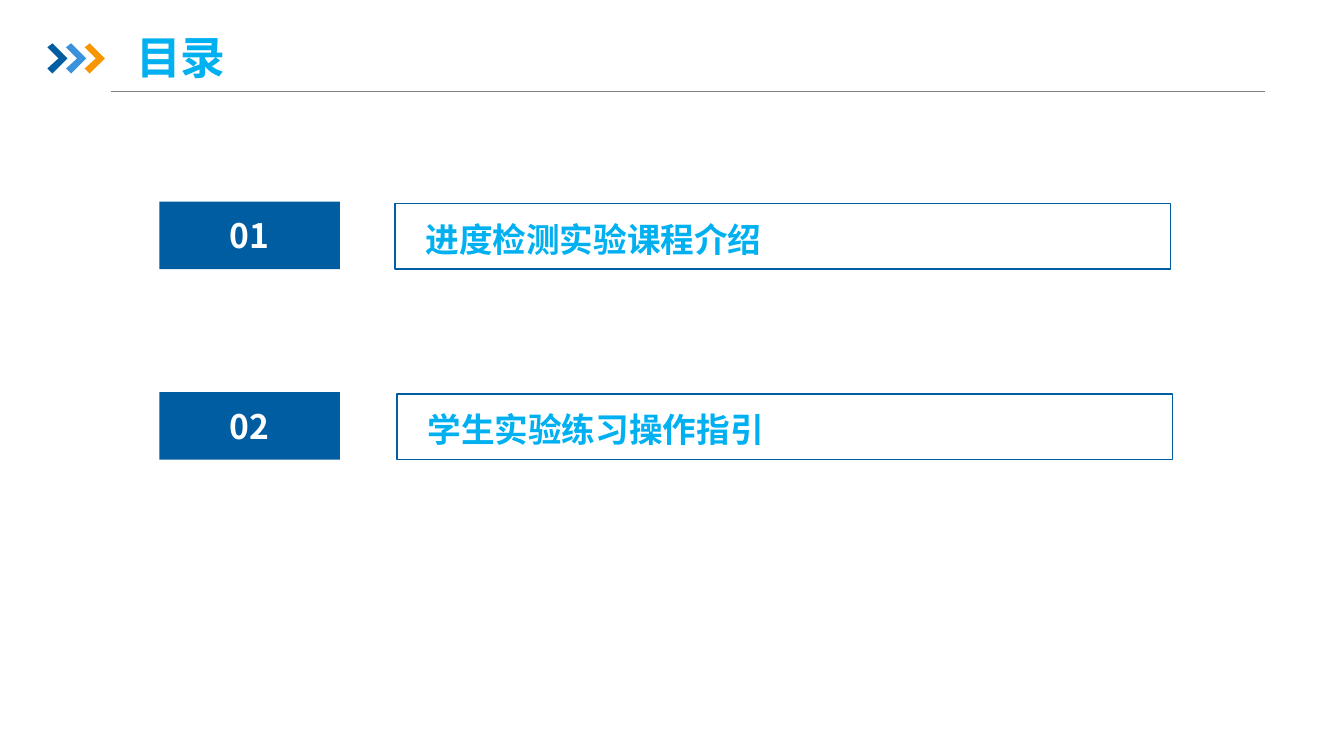
from lxml import etree
from pptx import Presentation
from pptx import util as u
from pptx.dml.color import RGBColor
from pptx.enum import shapes, text
from pptx.oxml import ns

WIDE, HIGH = 13.33, 7.5
FONT = "Noto Sans CJK SC"
NAVY = RGBColor(0x00, 0x5D, 0xA2)
BLUE = RGBColor(0x39, 0x92, 0xDB)
GOLD = RGBColor(0xF7, 0x96, 0x00)
SKY = RGBColor(0x00, 0xB0, 0xF0)
GREY = RGBColor(0x80, 0x80, 0x80)
WHITE = RGBColor(0xFF, 0xFF, 0xFF)

# Grid of the contents list
TOP, STEP = 2.0, 1.89
NUM_X, NUM_W, NUM_H = 1.58, 1.79, 0.67
BAR_X, BAR_W, BAR_H = 3.92, 7.69, 0.65
SHIFT = 0.02

ITEMS = ["进度检测实验课程介绍", "学生实验练习操作指引"]


def write(shape, words, size=24, color=SKY, align=text.PP_ALIGN.LEFT,
          left=0.1, top=0.05):
    """Put one bold line of text, centred in height, into a shape."""
    frame = shape.text_frame
    frame.word_wrap = True
    frame.auto_size = text.MSO_AUTO_SIZE.NONE
    frame.vertical_anchor = text.MSO_ANCHOR.MIDDLE
    frame.margin_left, frame.margin_top = u.Inches(left), u.Inches(top)
    para = frame.paragraphs[0]
    para.alignment = align
    run = para.add_run()
    run.text = words
    font = run.font
    font.name, font.size, font.bold = FONT, u.Pt(size), True
    font.color.rgb = color
    asian = etree.SubElement(run._r.get_or_add_rPr(), ns.qn("a:ea"))
    asian.set("typeface", FONT)


def box(slide, x, y, w, h, fill=None, line=None):
    """Draw a rectangle with either a fill or an outline."""
    rect = slide.shapes.add_shape(shapes.MSO_SHAPE.RECTANGLE,
                                  *map(u.Inches, (x, y, w, h)))
    rect.shadow.inherit = False
    if fill:
        rect.fill.solid()
        rect.fill.fore_color.rgb = fill
    else:
        rect.fill.background()
    if line:
        rect.line.color.rgb = line
        rect.line.width = u.Pt(1.25)
    else:
        rect.line.fill.background()
    return rect


def arrow(slide, x, y, color):
    """Draw one chevron, its upper left corner at x, y."""
    edge = [(0, 0.04), (0.05, 0), (0.2, 0.15), (0.05, 0.3),
            (0, 0.25), (0.11, 0.15)]
    spots = [(u.Inches(x + dx), u.Inches(y + dy)) for dx, dy in edge]
    form = slide.shapes.build_freeform(*spots[0])
    form.add_line_segments(spots[1:], close=True)
    mark = form.convert_to_shape()
    mark.shadow.inherit = False
    mark.fill.solid()
    mark.fill.fore_color.rgb = color
    mark.line.fill.background()


def rule(slide, x, y, end):
    """Draw the thin line under the title."""
    line = slide.shapes.add_connector(shapes.MSO_CONNECTOR.STRAIGHT,
                                      *map(u.Inches, (x, y, end, y)))
    line.line.color.rgb = GREY
    line.line.width = u.Pt(0.75)
    etree.SubElement(line._element.spPr, ns.qn("a:effectLst"))


def head(slide, words):
    """Place the title with its chevrons and line."""
    rule(slide, 1.1, 0.91, 12.55)
    for i, color in enumerate((NAVY, BLUE, GOLD)):
        arrow(slide, 0.47 + 0.185 * i, 0.43, color)
    title = slide.shapes.title
    title.left, title.top = u.Inches(1.25), u.Inches(0.29)
    title.width, title.height = u.Inches(5.52), u.Inches(0.55)
    write(title, words, size=32)


def item(slide, i, words):
    """Place one numbered row of the contents list."""
    y = TOP + STEP * i
    num = box(slide, NUM_X, y, NUM_W, NUM_H, fill=NAVY)
    write(num, f"{i + 1:02}", color=WHITE, align=text.PP_ALIGN.CENTER)
    bar = box(slide, BAR_X + SHIFT * i, y + SHIFT, BAR_W, BAR_H, line=NAVY)
    write(bar, words, left=0.3, top=0.1)


def main():
    deck = Presentation()
    deck.slide_width, deck.slide_height = u.Inches(WIDE), u.Inches(HIGH)
    slide = deck.slides.add_slide(deck.slide_layouts[5])
    head(slide, "目录")
    for i, words in enumerate(ITEMS):
        item(slide, i, words)
    deck.save("out.pptx")


if __name__ == "__main__":
    main()
